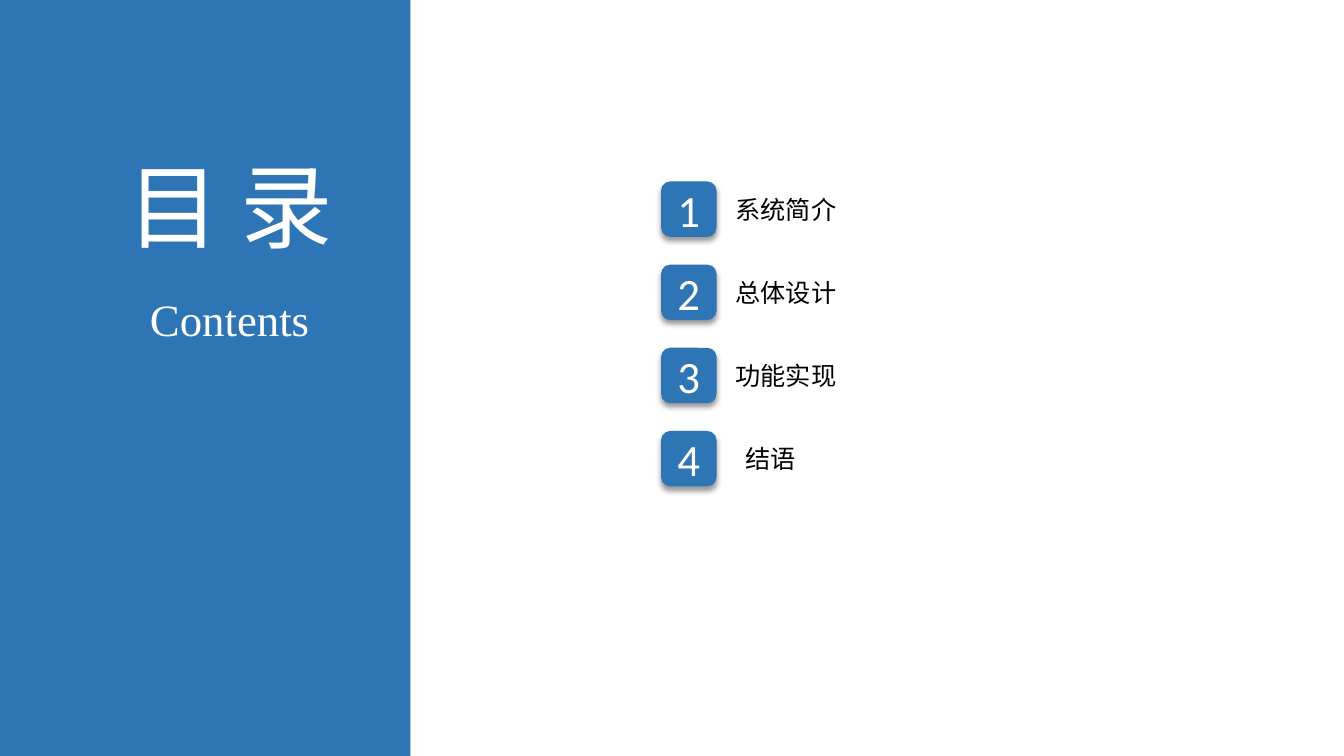
from lxml.etree import SubElement
from pptx import Presentation
from pptx.dml.color import RGBColor
from pptx.enum.shapes import MSO_SHAPE
from pptx.enum.text import MSO_ANCHOR, MSO_AUTO_SIZE, PP_ALIGN
from pptx.oxml.ns import qn
from pptx.util import Emu, Pt

EMU_PER_PX = 3810
BLUE = RGBColor(0x2E, 0x75, 0xB6)
WHITE = RGBColor(0xFF, 0xFF, 0xFF)
BLACK = RGBColor(0x00, 0x00, 0x00)
CHINESE_FONT = "Noto Sans CJK SC"
NUMBER_FONT = "Calibri"
ENGLISH_FONT = "Times New Roman"


def px(value):
    return Emu(value * EMU_PER_PX)


class ContentsSlide:
    def __init__(self, presentation):
        self.slide = presentation.slides.add_slide(presentation.slide_layouts[5])

    def set_text(self, shape, text, size, font, color, anchor=MSO_ANCHOR.TOP, wrap=False):
        frame = shape.text_frame
        frame.auto_size = MSO_AUTO_SIZE.NONE
        frame.word_wrap = wrap
        frame.vertical_anchor = anchor
        paragraph = frame.paragraphs[0]
        paragraph.alignment = PP_ALIGN.CENTER
        run = paragraph.add_run()
        run.text = text
        run.font.size = Pt(size)
        run.font.name = font
        run.font.color.rgb = color
        SubElement(run.font._element, qn("a:ea"), typeface=font)

    def block(self, kind, left, top, width, height):
        shape = self.slide.shapes.add_shape(kind, px(left), px(top), px(width), px(height))
        shape.shadow.inherit = False
        shape.fill.solid()
        shape.fill.fore_color.rgb = BLUE
        shape.line.fill.background()
        return shape

    def panel(self, width, height):
        panel = self.block(MSO_SHAPE.RECTANGLE, 0, 0, width, height)
        self.slide.shapes.title.element.addprevious(panel.element)

    def title(self, text, left, top, width, height):
        title = self.slide.shapes.title
        title.left, title.top = px(left), px(top)
        title.width, title.height = px(width), px(height)
        self.set_text(title, text, 66, CHINESE_FONT, WHITE)

    def label(self, text, left, top, width, height, size, font, color, wrap=False):
        box = self.slide.shapes.add_textbox(px(left), px(top), px(width), px(height))
        self.set_text(box, text, size, font, color, wrap=wrap)

    def badge(self, number, left, top, side):
        badge = self.block(MSO_SHAPE.ROUNDED_RECTANGLE, left, top, side, side)
        effects = badge.element.spPr.find(qn("a:effectLst"))
        shadow = SubElement(effects, qn("a:outerShdw"), blurRad=str(Pt(4)),
                            dist=str(Pt(3)), dir="5400000", rotWithShape="0")
        shadow_color = SubElement(shadow, qn("a:srgbClr"), val=str(BLACK))
        SubElement(shadow_color, qn("a:alpha"), val="40000")
        self.set_text(badge, str(number), 32, NUMBER_FONT, WHITE, MSO_ANCHOR.MIDDLE, True)


def main():
    presentation = Presentation()
    presentation.slide_width, presentation.slide_height = px(3200), px(1800)
    contents = ContentsSlide(presentation)
    contents.panel(977, 1800)
    contents.title("目 录", 245, 343, 605, 290)
    contents.label("Contents", 331, 682, 432, 154, 32, ENGLISH_FONT, WHITE)

    first_top, row_step = 432, 198
    sections = [("系统简介", 290), ("总体设计", 290), ("功能实现", 290), ("结语", 216)]
    for index, (name, width) in enumerate(sections):
        top = first_top + index * row_step
        contents.badge(index + 1, 1574, top, 132)
        contents.label(name, 1726, top + 18, width, 96, 18, CHINESE_FONT, BLACK,
                       wrap=name == "结语")

    presentation.save("out.pptx")


if __name__ == "__main__":
    main()
